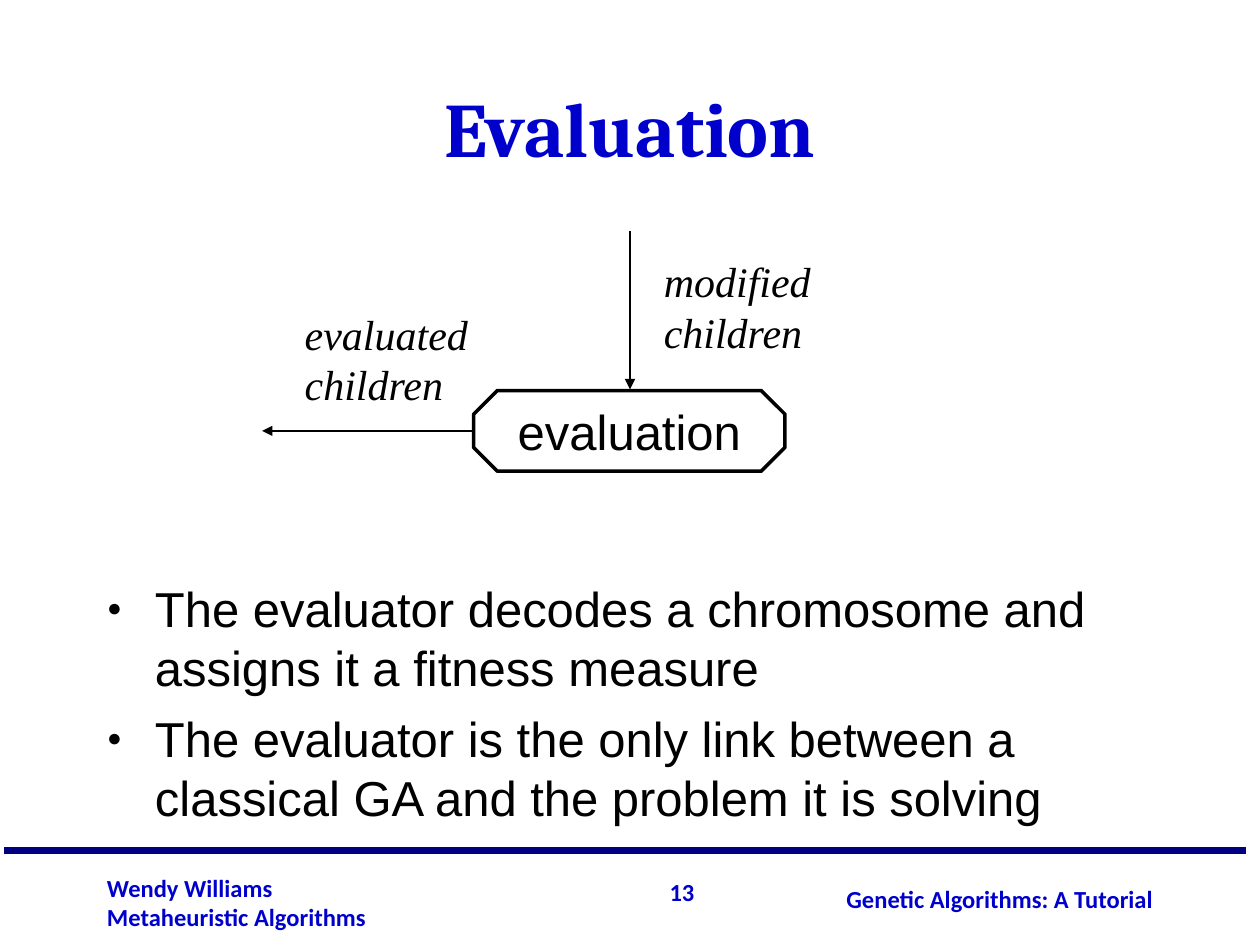
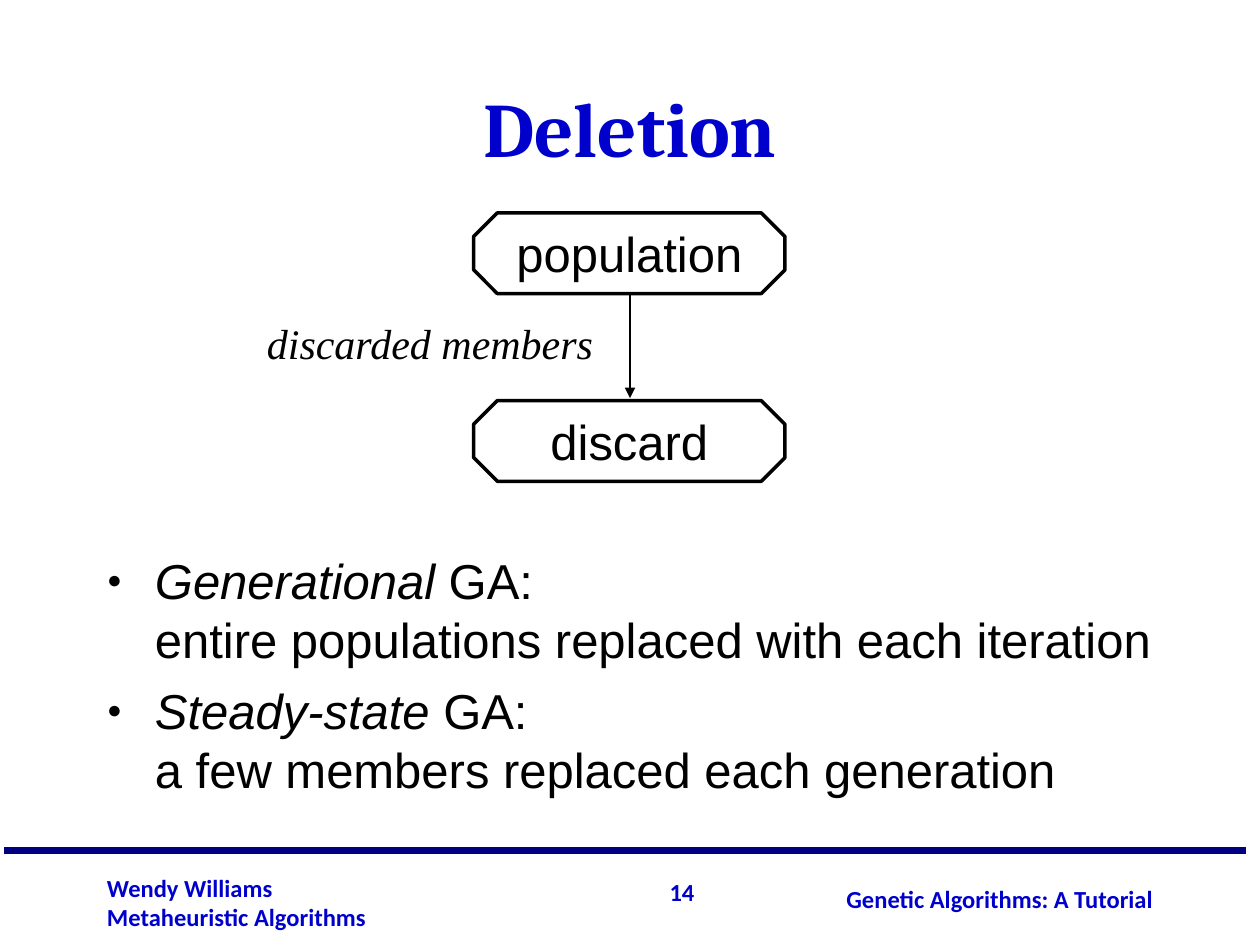
from lxml import etree
from pptx import Presentation
from pptx import util as u
from pptx.dml.color import RGBColor
from pptx.enum import shapes, text
from pptx.oxml.ns import qn

COLOURS = {"title": "0000CC", "rule": "000080", "ink": "000000", "paper": "FFFFFF"}
BOX_LEFT, BOX_WIDTH, BOX_HEIGHT = 3.76, 2.47, 0.64
AXIS = 5
MARGIN, CONTENT_WIDTH = 0.75, 8.5
BODY_BOTTOM = 6.66
LEFT, CENTER, RIGHT = text.PP_ALIGN.LEFT, text.PP_ALIGN.CENTER, text.PP_ALIGN.RIGHT
TOP, MIDDLE, BOTTOM = text.MSO_ANCHOR.TOP, text.MSO_ANCHOR.MIDDLE, text.MSO_ANCHOR.BOTTOM


def colour(name):
    return RGBColor.from_string(COLOURS[name])


def style(para, font, size, ink="ink", bold=False, italic=None, align=LEFT):
    para.alignment = align
    para.font.name = font
    para.font.size = u.Pt(size)
    para.font.color.rgb = colour(ink)
    para.font.bold = bold
    para.font.italic = italic


def move(shape, left, top, width, height):
    shape.left, shape.top = u.Inches(left), u.Inches(top)
    shape.width, shape.height = u.Inches(width), u.Inches(height)


def add_text(page, area, lines, anchor=TOP, wrap=True, **look):
    frame = page.shapes.add_textbox(*map(u.Inches, area)).text_frame
    frame.word_wrap = wrap
    frame.vertical_anchor = anchor
    frame.text = "\n".join(lines)
    for para in frame.paragraphs:
        style(para, **look)


def add_label(page, left, top, width, *lines):
    area = (left, top, width, 0.1 + 0.4 * len(lines))
    add_text(page, area, lines, wrap=False,
             font="Times New Roman", size=24, italic=True)


def add_step(page, top, name):
    area = map(u.Inches, (BOX_LEFT, top, BOX_WIDTH, BOX_HEIGHT))
    box = page.shapes.add_shape(shapes.MSO_SHAPE.OCTAGON, *area)
    box.adjustments[0] = 0.293
    box.shadow.inherit = False
    box.fill.solid()
    box.fill.fore_color.rgb = colour("paper")
    box.line.color.rgb = colour("ink")
    box.line.width = u.Pt(2)
    frame = box.text_frame
    frame.word_wrap = False
    frame.vertical_anchor = MIDDLE
    frame.text = name
    style(frame.paragraphs[0], "Arial", 28, align=CENTER)


def add_line(page, start, end, ink="ink", width=1, arrow=False):
    line = page.shapes.add_connector(
        shapes.MSO_CONNECTOR.STRAIGHT, *map(u.Inches, (*start, *end)))
    line.line.color.rgb = colour(ink)
    line.line.width = u.Pt(width)
    if arrow:
        outline = line._element.spPr.find(qn("a:ln"))
        etree.SubElement(outline, qn("a:tailEnd"), type="triangle")
    etree.SubElement(line._element.spPr, qn("a:effectLst"))


def add_bullet_mark(para):
    props = para._p.get_or_add_pPr()
    props.set("marL", str(u.Inches(0.38)))
    props.set("indent", str(-u.Inches(0.38)))
    mark = etree.SubElement(props, qn("a:buClr"))
    etree.SubElement(mark, qn("a:srgbClr"), val=COLOURS["ink"])
    etree.SubElement(props, qn("a:buSzPct"), val="50000")
    etree.SubElement(props, qn("a:buFont"), typeface="Arial")
    etree.SubElement(props, qn("a:buChar"), char="●")


def fill_title(page, title):
    shape = page.shapes.title
    move(shape, MARGIN, 0.25, CONTENT_WIDTH, 1.17)
    frame = shape.text_frame
    frame.text = title
    frame.auto_size = text.MSO_AUTO_SIZE.NONE
    frame.vertical_anchor = BOTTOM
    style(frame.paragraphs[0], "Cambria", 44, "title", bold=True, align=CENTER)


def fill_bullets(page, top, bullets):
    body = page.placeholders[1]
    move(body, MARGIN, top, CONTENT_WIDTH, BODY_BOTTOM - top)
    frame = body.text_frame
    frame.auto_size = text.MSO_AUTO_SIZE.NONE
    for index, (term, *lines) in enumerate(bullets):
        para = frame.add_paragraph() if index else frame.paragraphs[0]
        para.line_spacing = 1.0
        para.space_before = u.Pt(0)
        para.space_after = u.Pt(7)
        add_bullet_mark(para)
        style(para, "Arial", 28)
        if term:
            span = para.add_run()
            span.text = term
            span.font.italic = True
        for number, line in enumerate(lines):
            if number:
                para.add_line_break()
            para.add_run().text = line


def add_footer(page, number):
    look = dict(anchor=MIDDLE, font="Calibri", size=14, ink="title", bold=True)
    add_line(page, (0.03, 6.75), (9.89, 6.75), "rule", 4.5)
    add_text(page, (MARGIN, 6.88, 3.75, 0.56),
             ["Wendy Williams", "Metaheuristic Algorithms"], **look)
    add_text(page, (4.41, 6.9, 1.2, 0.36), [str(number)], align=RIGHT, **look)
    add_text(page, (5.92, 6.97, 3.33, 0.33),
             ["Genetic Algorithms: A Tutorial"], align=RIGHT, **look)


def add_page(deck, number, title, bullets_top, bullets):
    page = deck.slides.add_slide(deck.slide_layouts[1])
    fill_title(page, title)
    fill_bullets(page, bullets_top, bullets)
    add_footer(page, number)
    return page


def main():
    deck = Presentation()
    deck.slide_width, deck.slide_height = u.Inches(10), u.Inches(7.5)

    evaluation = add_page(deck, 13, "Evaluation", 4.54, [
        ("", "The evaluator decodes a chromosome and assigns it a fitness measure"),
        ("", "The evaluator is the only link between a classical GA "
             "and the problem it is solving"),
    ])
    add_step(evaluation, 3.1, "evaluation")
    add_line(evaluation, (AXIS, 1.83), (AXIS, 3.09), arrow=True)
    add_line(evaluation, (BOX_LEFT, 3.42), (2.08, 3.42), arrow=True)
    add_label(evaluation, 2.32, 2.4, 1.65, "evaluated", "children")
    add_label(evaluation, 5.17, 1.98, 1.55, "modified", "children")

    deletion = add_page(deck, 14, "Deletion", 4.32, [
        ("Generational", " GA:", "entire populations replaced with each iteration"),
        ("Steady-state", " GA:", "a few members replaced each generation"),
    ])
    add_step(deletion, 1.69, "population")
    add_step(deletion, 3.18, "discard")
    add_line(deletion, (AXIS, 2.34), (AXIS, 3.16), arrow=True)
    add_label(deletion, 2.02, 2.47, 2.8, "discarded members")

    deck.save("out.pptx")


if __name__ == "__main__":
    main()
